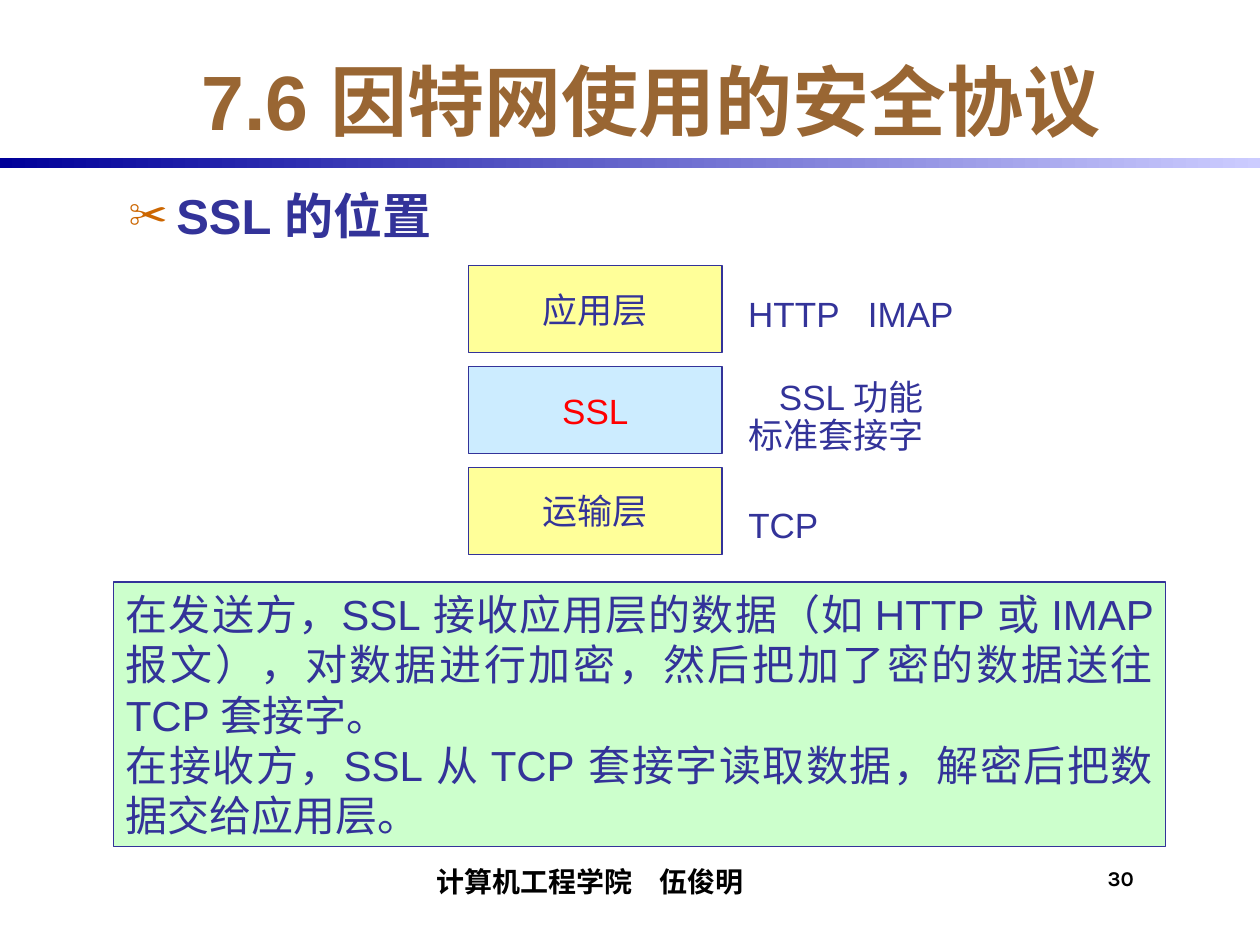
import dataclasses

import lxml.etree
import pptx
import pptx.dml.color
import pptx.enum.shapes
import pptx.enum.text
import pptx.oxml.ns
import pptx.util

Inches = pptx.util.Inches
Align = pptx.enum.text.PP_ALIGN
Anchor = pptx.enum.text.MSO_ANCHOR
AutoSize = pptx.enum.text.MSO_AUTO_SIZE

NAVY = "333399"
BLACK = "000000"


@dataclasses.dataclass
class Style:
    size: float = 20
    color: str = NAVY
    bold: bool = False
    font: str = "Arial"
    align: Align = Align.LEFT
    anchor: Anchor = Anchor.TOP
    wrap: bool = True
    margins: tuple = (0.1, 0.05, 0.1, 0.05)
    line_spacing: float = 1.0


@dataclasses.dataclass
class Layer:
    name: str
    fill: str
    color: str


@dataclasses.dataclass
class Label:
    text: str
    top: float
    width: float
    height: float
    style: Style


def rgb(value: str) -> pptx.dml.color.RGBColor:
    return pptx.dml.color.RGBColor.from_string(value)


def place(shape, left: float, top: float, width: float, height: float) -> None:
    shape.left, shape.top = Inches(left), Inches(top)
    shape.width, shape.height = Inches(width), Inches(height)


def write(shape, text: str, style: Style) -> None:
    frame = shape.text_frame
    frame.text = text
    frame.auto_size = AutoSize.NONE
    frame.word_wrap = style.wrap
    frame.vertical_anchor = style.anchor
    (frame.margin_left, frame.margin_top,
     frame.margin_right, frame.margin_bottom) = map(Inches, style.margins)
    for paragraph in frame.paragraphs:
        paragraph.alignment = style.align
        paragraph.line_spacing = style.line_spacing
        for span in paragraph.runs:
            span.font.name = style.font
            span.font.size = pptx.util.Pt(style.size)
            span.font.bold = style.bold
            span.font.color.rgb = rgb(style.color)


def add_text(page, at: tuple, text: str, style: Style):
    box = page.shapes.add_textbox(*map(Inches, at))
    write(box, text, style)
    return box


def add_rectangle(page, at: tuple):
    box = page.shapes.add_shape(
        pptx.enum.shapes.MSO_SHAPE.RECTANGLE, *map(Inches, at))
    box.shadow.inherit = False
    return box


def add_panel(page, at: tuple, text: str, fill: str, style: Style) -> None:
    box = add_rectangle(page, at)
    box.fill.solid()
    box.fill.fore_color.rgb = rgb(fill)
    box.line.color.rgb = rgb(NAVY)
    box.line.width = pptx.util.Pt(0.75)
    write(box, text, style)


def add_bullet(paragraph, symbol: str, color: str, percent: int) -> None:
    properties = paragraph._p.get_or_add_pPr()
    indent = Inches(0.38)
    properties.set("marL", str(indent))
    properties.set("indent", str(-indent))
    qn = pptx.oxml.ns.qn
    bullet_color = lxml.etree.SubElement(properties, qn("a:buClr"))
    lxml.etree.SubElement(bullet_color, qn("a:srgbClr"), val=color)
    lxml.etree.SubElement(properties, qn("a:buSzPct"), val=str(percent * 1000))
    lxml.etree.SubElement(properties, qn("a:buChar"), char=symbol)


def add_tab_stop(paragraph, position: float) -> None:
    qn = pptx.oxml.ns.qn
    stops = lxml.etree.SubElement(paragraph._p.get_or_add_pPr(), qn("a:tabLst"))
    lxml.etree.SubElement(stops, qn("a:tab"), pos=str(Inches(position)), algn="l")


def main() -> None:
    deck = pptx.Presentation()
    deck.slide_width, deck.slide_height = Inches(10), Inches(7.5)
    page = deck.slides.add_slide(deck.slide_layouts[1])

    # Title and gradient rule
    title = page.shapes.title
    place(title, 0.92, 0.33, 8.5, 0.92)
    write(title, "7.6 因特网使用的安全协议",
          Style(44, "996633", bold=True, align=Align.CENTER, anchor=Anchor.MIDDLE))
    rule = add_rectangle(page, (0, 1.25, 10, 0.08))
    rule.line.fill.background()
    rule.fill.gradient()
    rule.fill.gradient_angle = 0
    for stop, color in zip(rule.fill.gradient_stops, ("000099", "CCCCFF")):
        stop.color.rgb = rgb(color)

    # Bulleted heading
    body = page.placeholders[1]
    place(body, 0.92, 1.42, 8.5, 5)
    write(body, "SSL 的位置", Style(28, bold=True))
    heading = body.text_frame.paragraphs[0]
    add_bullet(heading, "✂", "CC6600", 80)
    heading.space_before = pptx.util.Pt(0)

    # Protocol layers, evenly stacked
    layers = [
        Layer("应用层", "FFFF99", NAVY),
        Layer("SSL", "CCECFF", "FF0000"),
        Layer("运输层", "FFFF99", NAVY),
    ]
    for index, layer in enumerate(layers):
        add_panel(page, (3.72, 2.11 + index * 0.8, 2.01, 0.69), layer.name, layer.fill,
                  Style(color=layer.color, align=Align.CENTER,
                        anchor=Anchor.MIDDLE, wrap=False))

    # Labels beside the layers
    labels = [
        Label("HTTP\tIMAP", 2.27, 2, 0.44, Style()),
        Label("SSL 功能\n标准套接字", 2.97, 1.59, 0.7,
              Style(align=Align.RIGHT, wrap=False, line_spacing=0.9)),
        Label("TCP", 3.95, 0.75, 0.44, Style(wrap=False)),
    ]
    for label in labels:
        box = add_text(page, (5.84, label.top, label.width, label.height),
                       label.text, label.style)
        if "\t" in label.text:
            add_tab_stop(box.text_frame.paragraphs[0], 0.95)

    # Explanation
    explanation = (
        "在发送方，SSL 接收应用层的数据（如 HTTP 或 IMAP 报文），"
        "对数据进行加密，然后把加了密的数据送往 TCP 套接字。\n"
        "在接收方，SSL 从 TCP 套接字读取数据，解密后把数据交给应用层。"
    )
    add_panel(page, (0.9, 4.62, 8.35, 2.1), explanation, "CCFFCC",
              Style(24, align=Align.JUSTIFY))

    # Footer and page number
    add_text(page, (2.08, 6.75, 5.17, 0.42), "计算机工程学院　伍俊明",
             Style(16, BLACK, True, "Karla", Align.CENTER, Anchor.BOTTOM,
                   margins=(0.04, 0, 0, 0.04)))
    add_text(page, (8.75, 6.83, 0.58, 0.42), "30",
             Style(12, BLACK, True, "Karla", margins=(0.04, 0.04, 0, 0)))

    deck.save("out.pptx")


if __name__ == "__main__":
    main()
